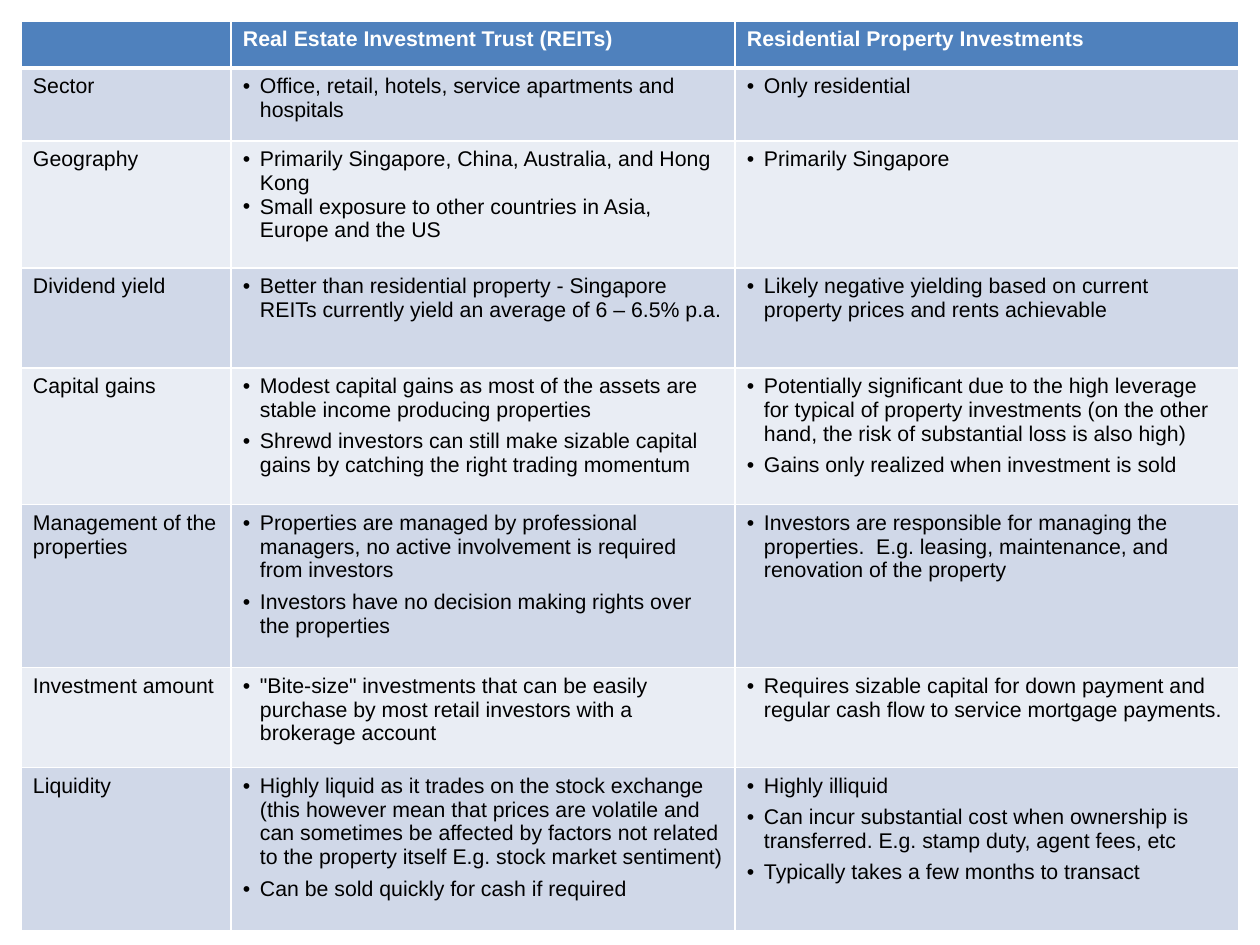
"""Build a slide with a table comparing REITs and residential property investments."""
from pptx import Presentation
from pptx.dml.color import RGBColor
from pptx.oxml.ns import qn
from pptx.util import Pt
from lxml.etree import SubElement

PX = 914400 // 90
COLORS = {"header": "4F81BD", "odd": "D0D8E8", "even": "E9EDF4",
          "line": "FFFFFF", "head_text": "FFFFFF", "text": "000000"}
COL_WIDTHS = [210, 504, 504]
ROW_HEIGHTS = [47, 73, 127, 100, 137, 163, 100, 163]
INSET, TOP_INSET, INDENT = 12, 6, 17

ROWS = [
    ("", ["Real Estate Investment Trust (REITs)"], ["Residential Property Investments"]),
    ("Sector",
     ["Office, retail, hotels, service apartments and hospitals"],
     ["Only residential"]),
    ("Geography",
     ["Primarily Singapore, China, Australia, and Hong Kong",
      "Small exposure to other countries in Asia, Europe and the US"],
     ["Primarily Singapore"]),
    ("Dividend yield",
     ["Better than residential property - Singapore REITs currently yield "
      "an average of 6 – 6.5% p.a."],
     ["Likely negative yielding based on current property prices and rents achievable"]),
    ("Capital gains",
     ["Modest capital gains as most of the assets are stable income producing properties",
      "Shrewd investors can still make sizable capital gains by catching "
      "the right trading momentum"],
     ["Potentially significant due to the high leverage for typical of property "
      "investments (on the other hand, the risk of substantial loss is also high)",
      "Gains only realized when investment is sold"]),
    ("Management of the properties",
     ["Properties are managed by professional managers, no active involvement "
      "is required from investors",
      "Investors have no decision making rights over the properties"],
     ["Investors are responsible for managing the properties.  E.g. leasing, "
      "maintenance, and renovation of the property"]),
    ("Investment amount",
     ['"Bite-size" investments that can be easily purchase by most retail '
      "investors with a brokerage account"],
     ["Requires sizable capital for down payment and regular cash flow to "
      "service mortgage payments."]),
    ("Liquidity",
     ["Highly liquid as it trades on the stock exchange (this however mean that "
      "prices are volatile and can sometimes be affected by factors not related "
      "to the property itself E.g. stock market sentiment)",
      "Can be sold quickly for cash if required"],
     ["Highly illiquid",
      "Can incur substantial cost when ownership is transferred. E.g. stamp duty, "
      "agent fees, etc",
      "Typically takes a few months to transact"]),
]


def add_borders(cell, bottom_width):
    tcPr = cell._tc.get_or_add_tcPr()
    for side, width in (("L", 1), ("R", 1), ("T", 1), ("B", bottom_width)):
        ln = SubElement(tcPr, qn(f"a:ln{side}"), w=str(Pt(width)))
        fill = SubElement(ln, qn("a:solidFill"))
        SubElement(fill, qn("a:srgbClr"), val=COLORS["line"])


def add_bullet(p):
    pPr = p._p.get_or_add_pPr()
    pPr.set("marL", str(INDENT * PX))
    pPr.set("indent", str(-INDENT * PX))
    SubElement(pPr, qn("a:buFont"), typeface="Arial")
    SubElement(pPr, qn("a:buChar"), char="•")


prs = Presentation()
prs.slide_width = 1260 * PX
prs.slide_height = 945 * PX
s = prs.slides.add_slide(prs.slide_layouts[6])

frame = s.shapes.add_table(len(ROWS), len(COL_WIDTHS), 21 * PX, 21 * PX,
                           sum(COL_WIDTHS) * PX, sum(ROW_HEIGHTS) * PX)
table = frame.table
for column, width in zip(table.columns, COL_WIDTHS):
    column.width = width * PX
for row, height in zip(table.rows, ROW_HEIGHTS):
    row.height = height * PX

for i, (topic, reits, residential) in enumerate(ROWS):
    is_header = i == 0
    fill = "header" if is_header else "odd" if i % 2 else "even"
    for j, lines in enumerate(([topic], reits, residential)):
        cell = table.cell(i, j)
        cell.margin_left = cell.margin_right = cell.margin_bottom = INSET * PX
        cell.margin_top = TOP_INSET * PX
        add_borders(cell, 3 if is_header else 1)
        cell.fill.solid()
        cell.fill.fore_color.rgb = RGBColor.from_string(COLORS[fill])
        tf = cell.text_frame
        tf.text = "\n".join(lines)
        for p in tf.paragraphs:
            if len(lines) > 1 and topic != "Geography":
                p.space_after = Pt(6)
            if j > 0 and not is_header:
                add_bullet(p)
            for r in p.runs:
                r.font.name = "Arial"
                r.font.size = Pt(17)
                r.font.bold = is_header
                r.font.color.rgb = RGBColor.from_string(
                    COLORS["head_text" if is_header else "text"])

prs.save("out.pptx")
